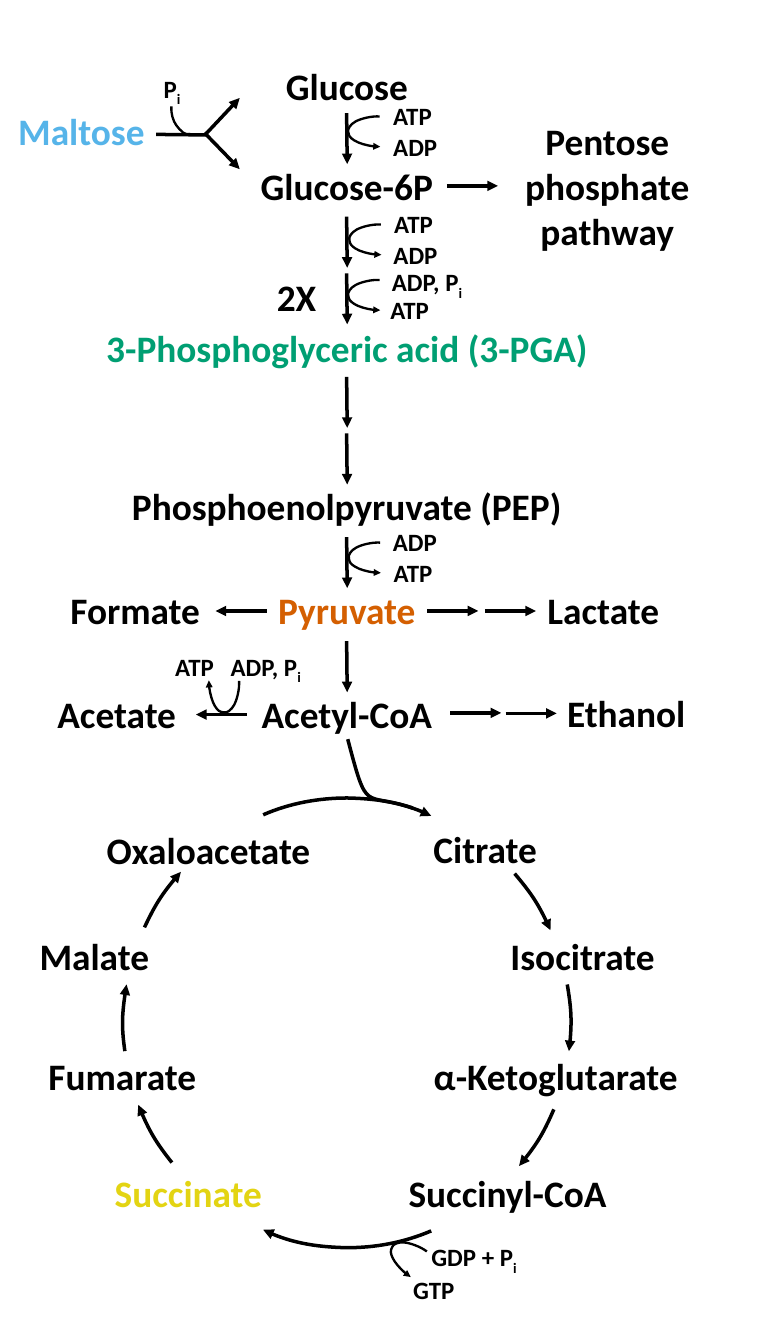
from math import cos, radians, sin

from lxml import etree
from pptx import Presentation
from pptx.dml.color import RGBColor
from pptx.enum.shapes import MSO_CONNECTOR, MSO_SHAPE
from pptx.enum.text import PP_ALIGN
from pptx.oxml.ns import qn
from pptx.util import Pt

PX = 9144  # 100 px to the inch
STRAIGHT, OVAL = MSO_CONNECTOR.STRAIGHT, MSO_SHAPE.OVAL
CENTER = PP_ALIGN.CENTER
BLACK, WHITE, BLUE, GREEN = "000000", "FFFFFF", "56B4E9", "009F73"
ORANGE, YELLOW = "D45F01", "E3D413"
BIG, SMALL = 48, 32
THICK, THIN = 4.5, 3
STEP = 91  # length of a straight arrow
LOOP = [(28, -27), (13, -28), (-6, -23), (-15, -18), (-24, -13), (-30, -5),
        (-28, 1), (-27, 8), (-25, 11), (-17, 16), (-9, 21), (15, 28), (29, 27)]


def color(code):
    return RGBColor.from_string(code)


def label(slide, x, y, w, text, size=BIG, tint=BLACK, h=None):
    """Centred bold text; what follows an underscore is set as a subscript."""
    h = h or (91 if size == BIG else 64)
    box = slide.shapes.add_textbox(x * PX, y * PX, w * PX, h * PX)
    box.text_frame.word_wrap = True
    para = box.text_frame.paragraphs[0]
    para.alignment = CENTER
    main, _, sub = text.partition("_")
    for part in filter(None, (main, sub)):
        run = para.add_run()
        run.text = part
        style = {"name": "Calibri", "size": Pt(size), "bold": True}
        for key, value in style.items():
            setattr(run.font, key, value)
        run.font.color.rgb = color(tint)
        if part is sub:
            run._r.get_or_add_rPr().set("baseline", "-25000")


def stroke(shape, width, head=False, tint=BLACK):
    shape.line.width = Pt(width)
    shape.line.color.rgb = color(tint)
    if head:
        line = shape.line._get_or_add_ln()
        etree.SubElement(line, qn("a:tailEnd"), type="triangle")


def arrow(slide, x, y, dx, dy, head=True):
    link = slide.shapes.add_connector(
        STRAIGHT, x * PX, y * PX, (x + dx) * PX, (y + dy) * PX)
    stroke(link, THICK, head)
    etree.SubElement(link._element.spPr, qn("a:effectLst"))


def rotate(x, y, angle):
    c, s = cos(radians(angle)), sin(radians(angle))
    return x * c - y * s, x * s + y * c


def curve(slide, x, y, points, spin=0, width=THICK, head=True):
    """Cubic curve through points, in a frame that is turned by spin."""
    spots = [tuple(round(v * PX) for v in rotate(x + px, y + py, -spin))
             for px, py in points]
    form = slide.shapes.build_freeform(*spots[0])
    form.add_line_segments(spots[1:], close=False)
    shape = form.convert_to_shape()
    lines = list(shape._element.spPr.iter(qn("a:lnTo")))
    for i in range(0, len(lines), 3):
        cubic = etree.Element(qn("a:cubicBezTo"))
        lines[i].addprevious(cubic)
        for line in lines[i:i + 3]:
            cubic.append(line[0])
            line.getparent().remove(line)
    half, tall = shape.width / 2, shape.height / 2
    mid, level = rotate(shape.left + half, shape.top + tall, spin)
    shape.left, shape.top = round(mid - half), round(level - tall)
    shape.rotation = spin % 360
    shape.shadow.inherit = False
    shape.fill.background()
    stroke(shape, width, head)


def loop(slide, x, y, turn=0, flip=1):
    """Side reaction curve around the centre x, y."""
    points = [rotate(px, py * flip, turn) for px, py in LOOP]
    curve(slide, x, y, points, turn, THIN)


def uptake(slide, x, y):
    label(slide, x - 4, y + 62, 299, "Maltose", tint=BLUE)
    label(slide, x + 258, y, 98, "P_i", SMALL)
    arrow(slide, x + 279, y + 113, 91, 1, head=False)
    arrow(slide, x + 365, y + 110, 63, 65)
    arrow(slide, x + 366, y + 114, 62, -66)
    curve(slide, x, y, [(306, 63), (305, 75), (309, 89), (315, 97), (321, 105),
                        (333, 118), (340, 112)], 270, THIN, head=False)


def spine(slide, x, y):
    """Main path down the axis x."""
    for dx, dy, w, text, tint in (
            (-150, 0, 299, "Glucose", BLACK),
            (-202, 179, 403, "Glucose-6P", BLACK),
            (-177, 377, 173, "2X", BLACK),
            (-510, 469, 1020, "3-Phosphoglyceric acid (3-PGA)", GREEN),
            (-415, 751, 829, "Phosphoenolpyruvate (PEP)", BLACK),
            (-202, 936, 403, "Pyruvate", ORANGE),
            (-202, 1122, 403, "Acetyl-CoA", BLACK)):
        label(slide, x + dx, y + dy, w, text, tint=tint)
    for dy in (95, 280, 381, 566, 667, 852, 1038):
        arrow(slide, x - 1, y + dy, 1, STEP)
    for dx, dy in ((30, 128), (32, 321), (30, 420), (31, 889)):
        loop(slide, x + dx, y + dy)
    for dx, dy, w, text in (
            (1, 68, 231, "ATP"), (32, 123, 179, "ADP"),
            (3, 261, 231, "ATP"), (33, 316, 178, "ADP"),
            (22, 365, 241, "ADP, P_i"), (39, 415, 145, "ATP"),
            (32, 828, 178, "ADP"), (2, 884, 231, "ATP")):
        label(slide, x + dx, y + dy, w, text, SMALL)


def pentose(slide, x, y):
    arrow(slide, x, y + 126, STEP, 0)
    label(slide, x + 85, y, 403, "Pentose phosphate pathway", h=252)


def products(slide, x, y):
    for dx, dy, text in ((95, 1, "Formate"), (931, 0, "Lactate"),
                         (62, 187, "Acetate"), (972, 185, "Ethanol")):
        label(slide, x + dx, y + dy, 293, text)
    for dx, dy, way in ((476, 48, -1), (763, 48, 1), (866, 48, 1),
                        (441, 233, -1), (804, 230, 1), (903, 231, 1)):
        arrow(slide, x + dx, y + dy, way * STEP, 0)
    loop(slide, x + 400, y + 201, turn=-90, flip=-1)
    for dx, text in ((232, "ATP"), (359, "ADP, P_i")):
        label(slide, x + dx, y + 115, 231, text, SMALL)


def cycle(slide, x, y):
    ring = slide.shapes.add_shape(OVAL, x * PX, y * PX, 800 * PX, 800 * PX)
    ring.shadow.inherit = False
    ring.fill.background()
    stroke(ring, 10.75, tint=WHITE)
    for dx, dy, w, text, tint in (
            (446, 44, 403, "Citrate", BLACK),
            (620, 234, 403, "Isocitrate", BLACK),
            (543, 449, 461, "α-Ketoglutarate", BLACK),
            (457, 658, 461, "Succinyl-CoA", BLACK),
            (-113, 658, 461, "Succinate", YELLOW),
            (-231, 449, 461, "Fumarate", BLACK),
            (-252, 234, 403, "Malate", BLACK),
            (-48, 45, 403, "Oxaloacetate", BLACK)):
        label(slide, x + dx, y + dy, w, text, tint=tint)
    for spin, arc in (
            (22.9, [(251, 28), (299, 7), (351, -2), (401, -2),
                    (451, -1), (506, 7), (551, 30)]),
            (62, [(700, 133), (727, 165), (744, 189), (764, 234)]),
            (93, [(794, 331), (801, 373), (803, 402), (797, 450)]),
            (126, [(770, 554), (753, 593), (739, 618), (708, 655)]),
            (203, [(551, 771), (502, 792), (451, 801), (401, 801),
                   (351, 800), (296, 792), (251, 769)]),
            (244, [(88, 649), (62, 616), (46, 591), (28, 546)]),
            (276, [(4, 450), (-2, 408), (-1, 379), (7, 331)]),
            (308, [(39, 229), (57, 191), (72, 166), (104, 130)])):
        curve(slide, x, y, arc, spin)
    feed = [(402, -107), (438, 30), (429, -14), (518, 16)]
    curve(slide, x, y, feed, 25.9, head=False)
    loop(slide, x + 505, y + 815, turn=33.3)
    label(slide, x + 512, y + 786, 231, "GDP + P_i", SMALL)
    label(slide, x + 440, y + 845, 231, "GTP", SMALL)


def main():
    deck = Presentation()
    deck.slide_width, deck.slide_height = 1400 * PX, 2400 * PX
    slide = deck.slides.add_slide(deck.slide_layouts[6])
    cycle(slide, 219, 1427)
    uptake(slide, 0, 127)
    spine(slide, 620, 107)
    pentose(slide, 798, 206)
    products(slide, 0, 1043)
    deck.save("out.pptx")


if __name__ == "__main__":
    main()
